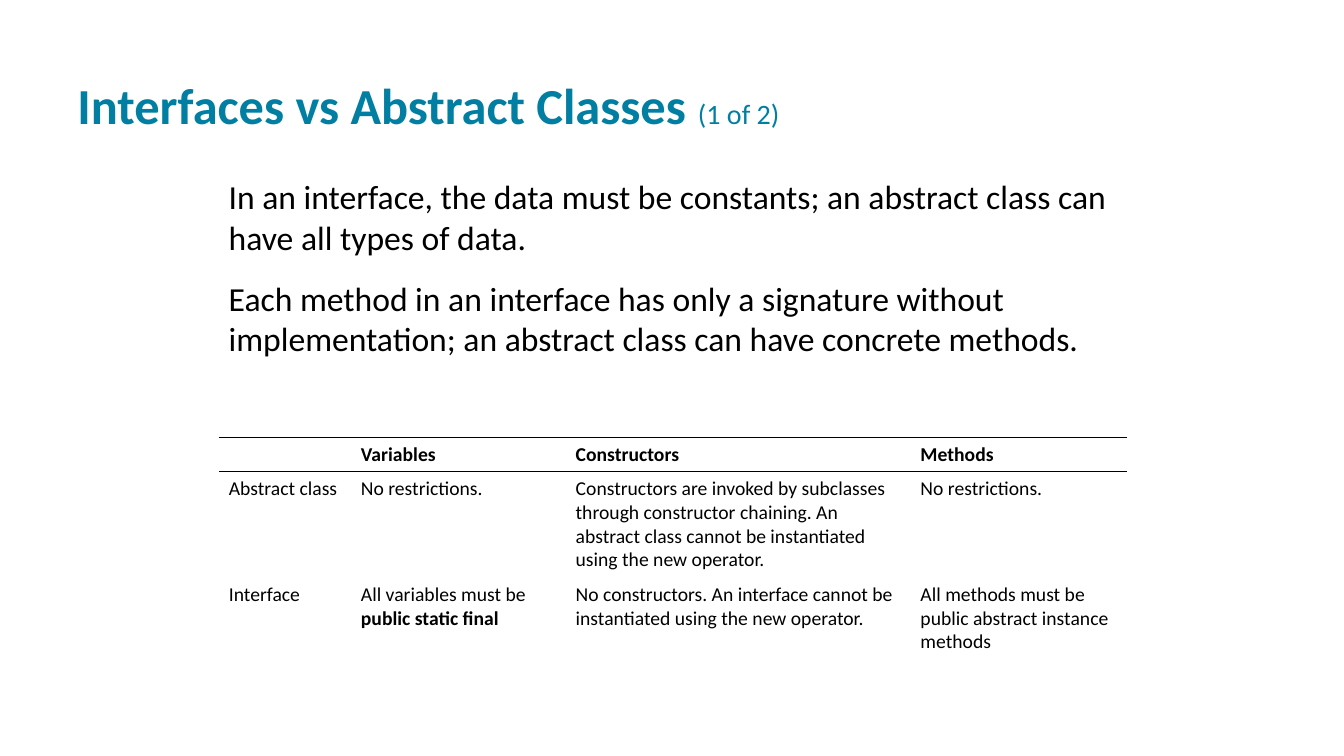
from dataclasses import dataclass

from lxml.etree import SubElement
from pptx import Presentation
from pptx.dml.color import RGBColor
from pptx.enum.text import MSO_ANCHOR
from pptx.oxml.ns import qn
from pptx.util import Inches, Pt


@dataclass(frozen=True)
class Theme:
    font: str = "Calibri"
    accent: str = "007FA3"
    ink: str = "000000"
    paper: str = "FFFFFF"
    title: int = 36
    counter: int = 20
    body: int = 24
    cell: int = 14
    paragraph_gap: int = 15
    rule: int = 1


class SlideBuilder:
    def __init__(self, slide, theme):
        self.slide = slide
        self.theme = theme

    def add_runs(self, paragraph, runs, color):
        for text, size, bold in runs:
            run = paragraph.add_run()
            run.text = text
            run.font.name = self.theme.font
            run.font.size = Pt(size)
            run.font.bold = bold
            run.font.color.rgb = RGBColor.from_string(color)

    def add_text(self, box, paragraphs, color, anchor=MSO_ANCHOR.TOP, inset=0.05):
        shape = self.slide.shapes.add_textbox(*map(Inches, box))
        frame = shape.text_frame
        frame.word_wrap = True
        frame.vertical_anchor = anchor
        frame.margin_left = frame.margin_right = Inches(0.1)
        frame.margin_top = frame.margin_bottom = Inches(inset)
        for index, runs in enumerate(paragraphs):
            paragraph = frame.add_paragraph() if index else frame.paragraphs[0]
            if index:
                paragraph.space_before = Pt(self.theme.paragraph_gap)
            self.add_runs(paragraph, runs, color)

    def set_borders(self, cell, ruled_sides):
        properties = cell._tc.get_or_add_tcPr()
        for position, side in enumerate(("lnL", "lnR", "lnT", "lnB")):
            line = SubElement(properties, qn(f"a:{side}"))
            properties.remove(line)
            properties.insert(position, line)
            if side in ruled_sides:
                line.set("w", str(Pt(self.theme.rule)))
                fill = SubElement(line, qn("a:solidFill"))
                SubElement(fill, qn("a:srgbClr")).set("val", self.theme.ink)
            else:
                line.set("w", "0")
                SubElement(line, qn("a:noFill"))

    def add_table(self, box, widths, heights, rows):
        frame = self.slide.shapes.add_table(len(rows), len(widths), *map(Inches, box))
        table = frame.table
        for column, width in zip(table.columns, widths):
            column.width = Inches(width)
        for row, height in zip(table.rows, heights):
            row.height = Inches(height)
        borders = [("lnT", "lnB"), ("lnT",), ()]
        for row, contents, ruled_sides in zip(table.rows, rows, borders):
            for cell, runs in zip(row.cells, contents):
                cell.fill.solid()
                cell.fill.fore_color.rgb = RGBColor.from_string(self.theme.paper)
                self.set_borders(cell, ruled_sides)
                paragraph = cell.text_frame.paragraphs[0]
                self.add_runs(paragraph, runs, self.theme.ink)
                if not runs:
                    ending = SubElement(paragraph._p, qn("a:endParaRPr"))
                    ending.set("sz", str(self.theme.cell * 100))


def main():
    theme = Theme()
    presentation = Presentation()
    presentation.slide_width = Inches(13.33)
    presentation.slide_height = Inches(7.5)
    slide = presentation.slides.add_slide(presentation.slide_layouts[6])
    builder = SlideBuilder(slide, theme)

    title = [
        ("Interfaces vs Abstract Classes ", theme.title, True),
        ("(1 of 2)", theme.counter, False),
    ]
    builder.add_text((0.67, 0.24, 12, 1.2), [title], theme.accent, MSO_ANCHOR.BOTTOM, 0.1)

    statements = [
        "In an interface, the data must be constants; an abstract class can have all types of data.",
        "Each method in an interface has only a signature without implementation; "
        "an abstract class can have concrete methods.",
    ]
    body = [[(text, theme.body, False)] for text in statements]
    builder.add_text((2.17, 1.7, 9, 2.44), body, theme.ink)

    def plain(text):
        return [(text, theme.cell, False)]

    def strong(text):
        return [(text, theme.cell, True)]

    rows = [
        [[], *map(strong, ("Variables", "Constructors", "Methods"))],
        [
            plain("Abstract class"),
            plain("No restrictions."),
            plain(
                "Constructors are invoked by subclasses through constructor chaining. "
                "An abstract class cannot be instantiated using the new operator."
            ),
            plain("No restrictions."),
        ],
        [
            plain("Interface"),
            plain("All variables must be ") + strong("public static final"),
            plain("No constructors. An interface cannot be instantiated using the new operator."),
            plain("All methods must be public abstract instance methods"),
        ],
    ]
    builder.add_table(
        (2.17, 4.34, 9, 2.17), (1.31, 2.13, 3.42, 2.15), (0.34, 1.05, 0.78), rows
    )
    presentation.save("out.pptx")


if __name__ == "__main__":
    main()
